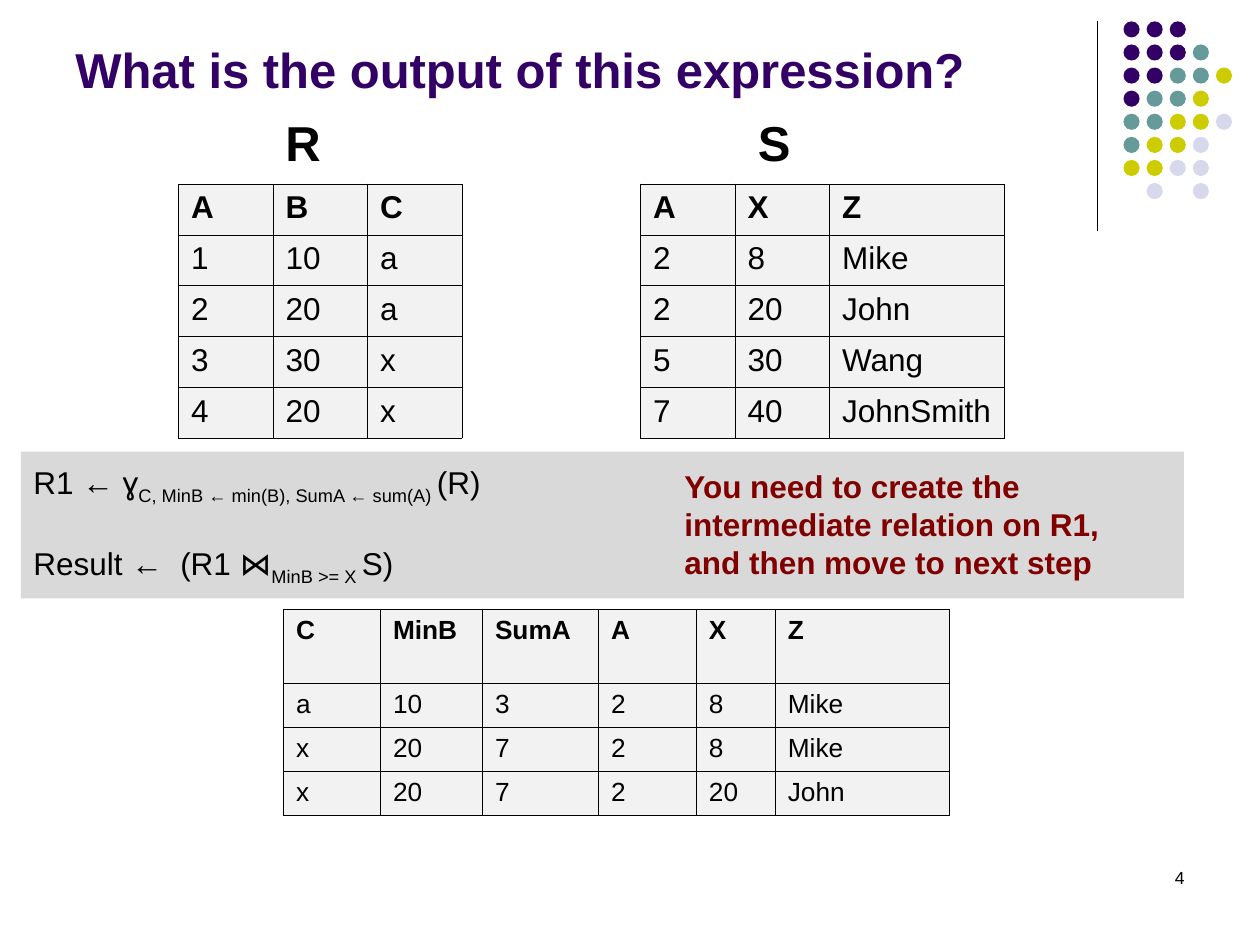
"""Build a slide asking for the output of a relational algebra expression."""
import pptx
import pptx.dml.color
import pptx.enum.shapes
import pptx.enum.text
import pptx.oxml
import pptx.oxml.ns
import pptx.util

Pt = pptx.util.Pt
RGB = pptx.dml.color.RGBColor
ALIGN = pptx.enum.text.PP_ALIGN
ANCHOR = pptx.enum.text.MSO_ANCHOR
SHAPE = pptx.enum.shapes.MSO_SHAPE
NS = pptx.oxml.ns.nsdecls("a")

BLACK = RGB(0x00, 0x00, 0x00)
PURPLE = RGB(0x33, 0x00, 0x66)
TEAL = RGB(0x66, 0x99, 0x99)
OLIVE = RGB(0xCC, 0xCC, 0x00)
LILAC = RGB(0xD8, 0xD8, 0xEC)
PALE = RGB(0xF2, 0xF2, 0xF2)
GRAY = RGB(0xD9, 0xD9, 0xD9)
MAROON = RGB(0x80, 0x00, 0x00)


def write(para, text, size, bold=False, color=BLACK, base=0):
    run = para.add_run()
    run.text = text
    form = {"name": "Arial", "size": Pt(size), "bold": bold}
    for key, value in form.items():
        setattr(run.font, key, value)
    run.font.color.rgb = color
    if base:
        run.font._element.set("baseline", str(base))


def grid(left, top, wides, highs, size, data):
    frame = slide.shapes.add_table(
        len(highs), len(wides), Pt(left), Pt(top), Pt(sum(wides)), Pt(sum(highs)))
    table = frame.table
    table.horz_banding = False
    for col, wide in zip(table.columns, wides):
        col.width = Pt(wide)
    for row, high in zip(table.rows, highs):
        row.height = Pt(high)
    for r, line in enumerate(data):
        for c, text in enumerate(line.split()):
            cell = table.cell(r, c)
            props = cell._tc.get_or_add_tcPr()
            for side in "LRTB":
                props.append(pptx.oxml.parse_xml(
                    f'<a:ln{side} {NS} w="5715"><a:solidFill>'
                    f'<a:srgbClr val="{BLACK}"/></a:solidFill></a:ln{side}>'))
            cell.fill.solid()
            cell.fill.fore_color.rgb = PALE
            write(cell.text_frame.paragraphs[0], text, size, r == 0)


deck = pptx.Presentation()
deck.slide_width, deck.slide_height = Pt(720), Pt(540)
slide = deck.slides.add_slide(deck.slide_layouts[6])

rule = slide.shapes.add_connector(
    pptx.enum.shapes.MSO_CONNECTOR.STRAIGHT, Pt(627), Pt(12), Pt(627), Pt(132))
rule.line.color.rgb = BLACK
rule.line.width = Pt(0.75)
rule._element.spPr.append(pptx.oxml.parse_xml(f"<a:effectLst {NS}/>"))

hues = {"P": PURPLE, "T": TEAL, "O": OLIVE, "L": LILAC}
dots = ["PPP", "PPPT", "PPTTO", "PTTO", "TTOOL", "TOOL", "OOLL", ".L.L"]
for r, line in enumerate(dots):
    for c, key in enumerate(line):
        if key in hues:
            dot = slide.shapes.add_shape(
                SHAPE.OVAL, Pt(642 + 13.2 * c), Pt(12.2 + 13.2 * r), Pt(9.2), Pt(9.2))
            dot.shadow.inherit = False
            dot.fill.solid()
            dot.fill.fore_color.rgb = hues[key]
            dot.line.fill.background()

grid(102, 105.2, [54] * 3, [29.05] * 5, 18,
     ["A B C", "1 10 a", "2 20 a", "3 30 x", "4 20 x"])
grid(366, 105.2, [54, 54, 100], [29.05] * 5, 18,
     ["A X Z", "2 8 Mike", "2 20 John", "5 30 Wang", "7 40 JohnSmith"])
grid(162, 348, [55.4, 58.3, 66.3, 56, 45.1, 99.4], [42.3] + [25.2] * 3, 15,
     ["C MinB SumA A X Z", "a 10 3 2 8 Mike", "x 20 7 2 8 Mike", "x 20 7 2 20 John"])

band = slide.shapes.add_shape(SHAPE.RECTANGLE, Pt(12), Pt(258), Pt(664.6), Pt(84))
band.shadow.inherit = False
band.fill.solid()
band.fill.fore_color.rgb = GRAY
band.line.fill.background()
frame = band.text_frame
frame.vertical_anchor = ANCHOR.MIDDLE
steps = [
    ("R1 ← ɣ", "C, MinB ← min(B), SumA ← sum(A) ", "(R)"),
    ("Result ←  (R1 ⋈", "MinB >= X ", "S)"),
]
for i, (head, sub, tail) in enumerate(steps):
    para = frame.add_paragraph() if i else frame.paragraphs[0]
    para.alignment = ALIGN.LEFT
    if i:
        para.space_before = Pt(22)
    write(para, head, 18)
    write(para, sub, 18, base=-25000)
    write(para, tail, 18)

note = "You need to create the intermediate relation on R1, and then move to next step"
texts = [
    ("What is the output of this expression?", (36, 9.4, 594, 50.4), 28, True, PURPLE,
     {"word_wrap": True, "vertical_anchor": ANCHOR.BOTTOM}, ALIGN.LEFT),
    ("R", (156, 60.5, 34.6, 41), 28, True, BLACK, {"word_wrap": False}, ALIGN.LEFT),
    ("S", (426, 60.5, 33.1, 41), 28, True, BLACK, {"word_wrap": False}, ALIGN.LEFT),
    (note, (384, 263.5, 276, 72), 18, True, MAROON, {"word_wrap": True}, ALIGN.LEFT),
    ("4", (516, 492, 168, 36), 10, False, BLACK, {"word_wrap": True}, ALIGN.RIGHT),
]
for text, place, size, bold, color, form, align in texts:
    frame = slide.shapes.add_textbox(*map(Pt, place)).text_frame
    for key, value in form.items():
        setattr(frame, key, value)
    frame.paragraphs[0].alignment = align
    write(frame.paragraphs[0], text, size, bold, color)

deck.save("out.pptx")
